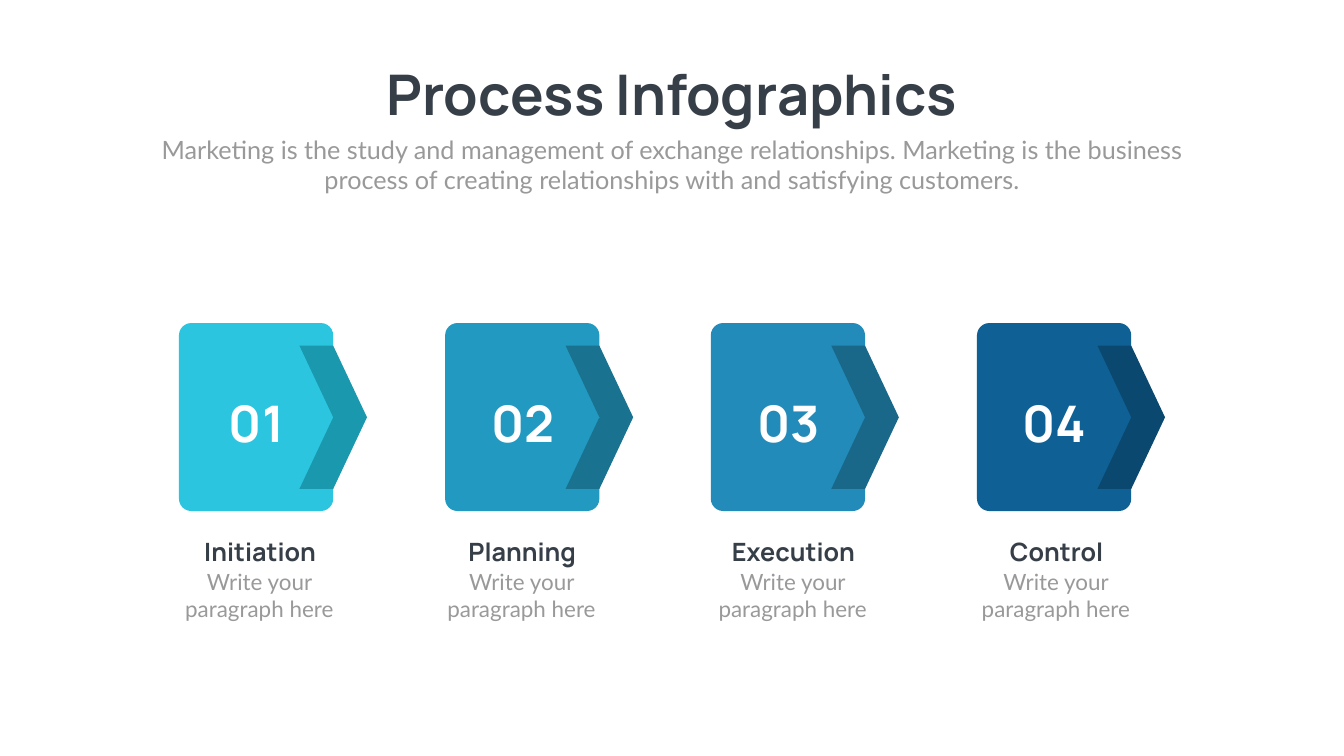
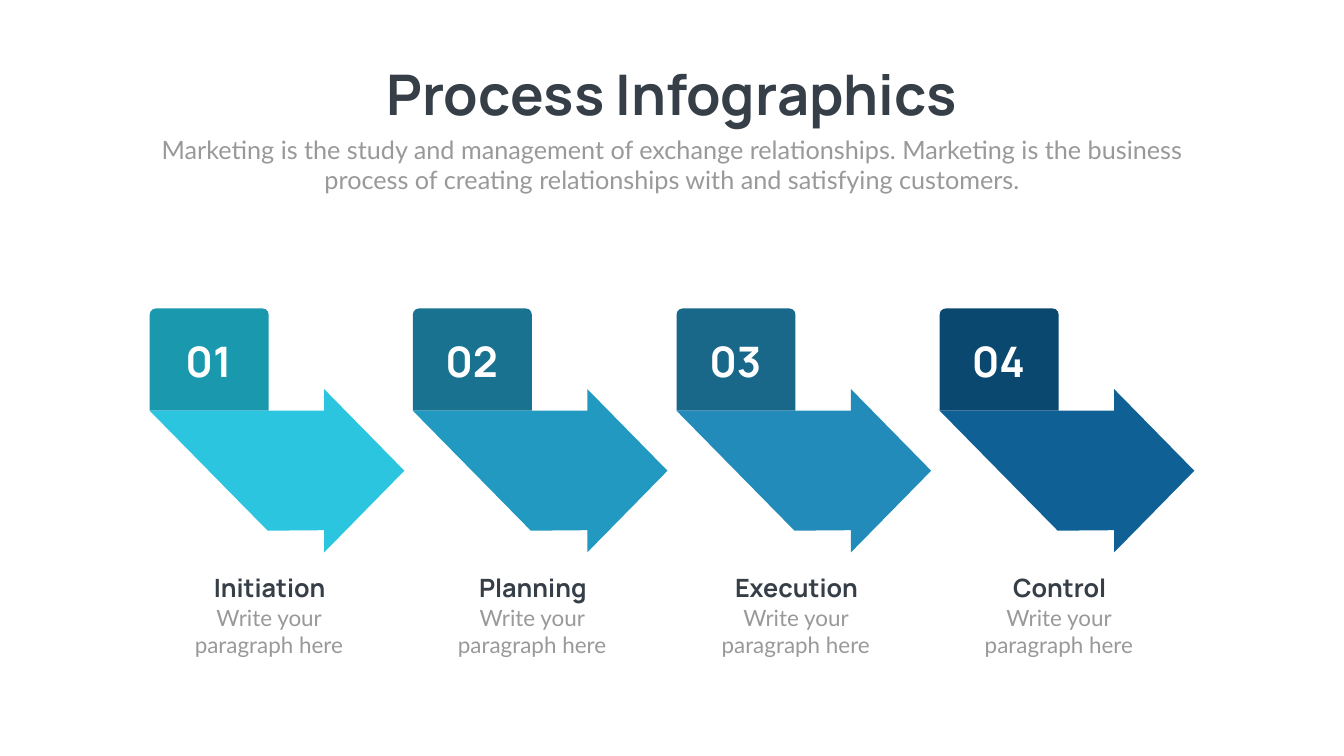
"""Builds two process infographic slides: chevron cards and folded arrows."""
from dataclasses import dataclass

from pptx import Presentation
from pptx.dml.color import RGBColor
from pptx.enum.shapes import MSO_SHAPE
from pptx.enum.text import MSO_ANCHOR, MSO_AUTO_SIZE, PP_ALIGN
from pptx.util import Pt

TITLE = "Process Infographics"
SUBTITLE = (
    "Marketing is the study and management of exchange relationships. "
    "Marketing is the business process of creating relationships with "
    "and satisfying customers."
)
DETAIL = "Write your paragraph here"
STEPS = [
    ("01", "Initiation", "2BC5E0", "1998AE"),
    ("02", "Planning", "2299C0", "19728F"),
    ("03", "Execution", "228BB9", "19688A"),
    ("04", "Control", "0F6195", "0B486F"),
]

PX = 9144
PAGE_SIZE = (2666, 1500)
TITLE_AREA = (717, 114, 1232, 145)
SUBTITLE_AREA = (292, 261, 2082, 131)
CARD_SPAN = (355, 1938)
CARD_LABEL_LEFTS = (345, 865, 1403, 1925)
ARROW_SPAN = (297, 1864)
ARROW_OUTLINE = [(346, 0), (346, 43), (0, 43), (234, 281),
                 (346, 280), (346, 324), (505, 162)]


@dataclass(frozen=True)
class TextStyle:
    font: str
    size: int
    color: str
    bold: bool = False


@dataclass(frozen=True)
class Theme:
    title: TextStyle = TextStyle("Manrope", 80, "363E48", True)
    subtitle: TextStyle = TextStyle("Lato", 36, "999999")
    heading: TextStyle = TextStyle("Manrope", 36, "363E48", True)
    detail: TextStyle = TextStyle("Lato", 32, "999999")
    card_number: TextStyle = TextStyle("Manrope", 72, "FFFFFF", True)
    arrow_number: TextStyle = TextStyle("Manrope", 60, "FFFFFF", True)


THEME = Theme()


def scaled(area):
    return [length * PX for length in area]


def spread(span):
    first, last = span
    gap = (last - first) / (len(STEPS) - 1)
    return [round(first + gap * index) for index in range(len(STEPS))]


def write(box, text, style):
    frame = box.text_frame
    frame.text = text
    frame.word_wrap = True
    frame.auto_size = MSO_AUTO_SIZE.SHAPE_TO_FIT_TEXT
    frame.vertical_anchor = MSO_ANCHOR.TOP
    para = frame.paragraphs[0]
    para.alignment = PP_ALIGN.CENTER
    para.space_before = Pt(0)
    font = para.runs[0].font
    font.name, font.size, font.bold = style.font, Pt(style.size), style.bold
    font.color.rgb = RGBColor.from_string(style.color)


def add_text(page, area, text, style):
    write(page.shapes.add_textbox(*scaled(area)), text, style)


def paint(shape, color):
    shape.shadow.inherit = False
    shape.fill.solid()
    shape.fill.fore_color.rgb = RGBColor.from_string(color)
    shape.line.fill.background()


def add_preset(page, kind, area, color, *adjustments):
    shape = page.shapes.add_shape(kind, *scaled(area))
    for index, value in enumerate(adjustments):
        shape.adjustments[index] = value
    paint(shape, color)


def add_arrow(page, left, top, color):
    points = [(left + x, top + y) for x, y in ARROW_OUTLINE]
    builder = page.shapes.build_freeform(*points[0], scale=PX)
    builder.add_line_segments(points[1:], close=True)
    paint(builder.convert_to_shape(), color)


def add_label(page, left, top, heading):
    add_text(page, (left + 3, top, 336, 71), heading, THEME.heading)
    add_text(page, (left, top + 63, 339, 118), DETAIL, THEME.detail)


def add_page(deck):
    page = deck.slides.add_slide(deck.slide_layouts[0])
    headers = [
        (page.shapes.title, TITLE_AREA, TITLE, THEME.title),
        (page.placeholders[1], SUBTITLE_AREA, SUBTITLE, THEME.subtitle),
    ]
    for holder, area, text, style in headers:
        holder.left, holder.top, holder.width, holder.height = scaled(area)
        write(holder, text, style)
    return page


def build_cards(deck):
    page = add_page(deck)
    columns = zip(STEPS, spread(CARD_SPAN), CARD_LABEL_LEFTS)
    for (number, heading, color, shade), left, label_left in columns:
        add_preset(page, MSO_SHAPE.ROUNDED_RECTANGLE,
                   (left, 641, 306, 373), color, 0.08)
        add_preset(page, MSO_SHAPE.CHEVRON,
                   (left + 239, 686, 134, 284), shade, 0.5)
        add_text(page, (left + 60, 773, 188, 131), number, THEME.card_number)
        add_label(page, label_left, 1059, heading)


def build_arrows(deck):
    page = add_page(deck)
    for (number, heading, color, shade), left in zip(STEPS, spread(ARROW_SPAN)):
        add_preset(page, MSO_SHAPE.ROUND_2_SAME_RECTANGLE,
                   (left, 612, 236, 203), shade, 0.06, 0)
        add_arrow(page, left, 772, color)
        add_text(page, (left + 22, 661, 189, 111), number, THEME.arrow_number)
        add_label(page, left + 67, 1131, heading)


def main():
    deck = Presentation()
    deck.slide_width, deck.slide_height = scaled(PAGE_SIZE)
    build_cards(deck)
    build_arrows(deck)
    deck.save("out.pptx")


if __name__ == "__main__":
    main()
